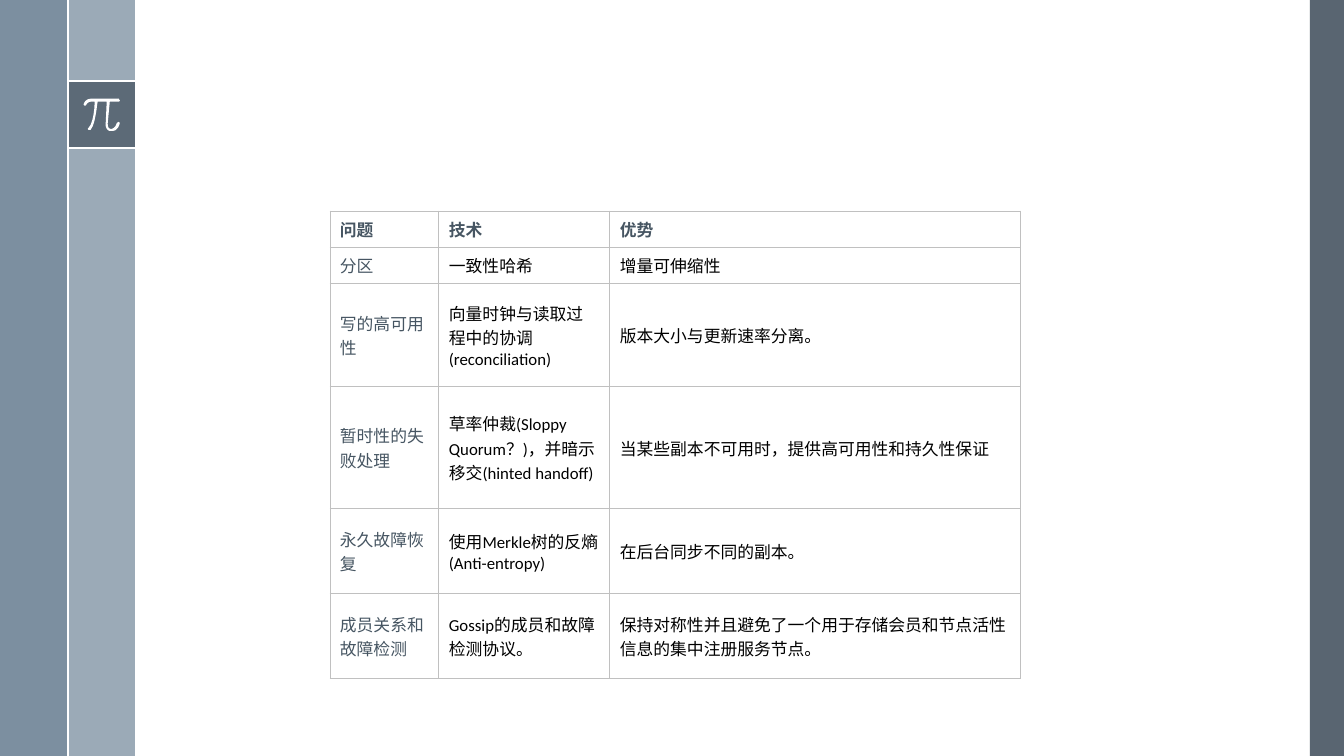
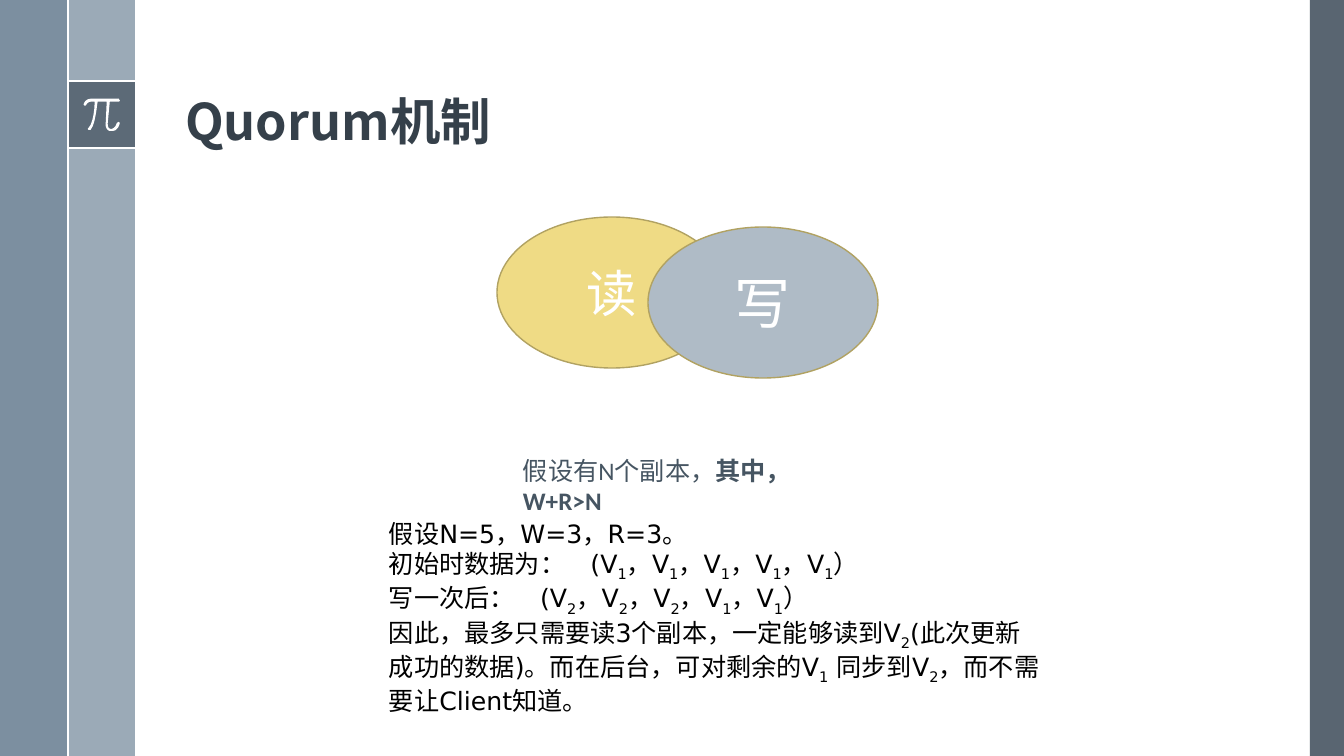
from lxml.etree import SubElement
from pptx import Presentation
from pptx.dml.color import RGBColor
from pptx.enum.shapes import MSO_CONNECTOR as Link, MSO_SHAPE as Kind
from pptx.enum.text import MSO_ANCHOR as Anchor, MSO_AUTO_SIZE as Fit, PP_ALIGN as Align
from pptx.oxml.ns import qn
from pptx.util import Emu, Inches, Pt

SCALE = 12192000 / 1344  # EMU in one px
WIDE, HIGH = 1344, 756
WHITE, BLACK = "FFFFFF", "000000"
SLATE, STEEL, MIST = "475562", "6A8093", "9BAAB7"
INK, TEXT, GRID = "35404A", "465562", "C0C0C0"
GOLD, CLOUD, RIM = "EFDB85", "AFBBC6", "B1A262"
LATIN, PLAIN, HAN = "Calibri", "DejaVu Sans", "Noto Sans CJK SC"

# Outline of the pi sign in 1/100 inch: pairs are lines, sixes are curves.
PI_START = (118, 98)
PI_PATH = [
    (90, 98), (85, 98, 83, 103, 83, 104), (84, 105), (85, 105),
    (85, 105, 87, 101, 90, 101), (94, 101), (94, 105, 93, 122, 88, 127),
    (87, 128, 87, 128, 88, 129), (90, 129), (95, 123, 96, 105, 97, 101),
    (106, 101), (105, 122), (105, 122, 104, 126, 107, 129),
    (108, 130, 109, 130, 110, 130), (112, 130),
    (117, 130, 119, 123, 119, 122), (118, 121), (116, 122),
    (116, 122, 115, 127, 111, 128), (110, 128, 109, 128, 108, 127),
    (107, 126, 107, 123, 107, 122), (109, 101), (118, 101), (119, 100),
]

COLS = [109, 171, 411]
ROWS = [36, 36, 103, 122, 85, 85]
CELLS = [
    ("问题", "技术", "优势"),
    ("分区", "一致性哈希", "增量可伸缩性"),
    ("写的高可用性", "向量时钟与读取过程中的协调(reconciliation)",
     "版本大小与更新速率分离。"),
    ("暂时性的失败处理", "草率仲裁(Sloppy Quorum？)，并暗示移交(hinted handoff)",
     "当某些副本不可用时，提供高可用性和持久性保证"),
    ("永久故障恢复", "使用Merkle树的反熵(Anti-entropy)", "在后台同步不同的副本。"),
    ("成员关系和故障检测", "Gossip的成员和故障检测协议。",
     "保持对称性并且避免了一个用于存储会员和节点活性信息的集中注册服务节点。"),
]

# An underscore lowers the digit that follows it.
STEPS = [
    "假设N=5，W=3，R=3。",
    "初始时数据为：\t(V_1，V_1，V_1，V_1，V_1）",
    "写一次后：\t(V_2，V_2，V_2，V_1，V_1）",
    "因此，最多只需要读3个副本，一定能够读到V_2(此次更新成功的数据)。"
    "而在后台，可对剩余的V_1 同步到V_2，而不需要让Client知道。",
]


def px(n):
    return Emu(round(n * SCALE))


def rgb(code):
    return RGBColor.from_string(code)


def add_run(para, text, size, color, font=LATIN, han=HAN, bold=False, sub=False):
    run = para.add_run()
    run.text = text
    face = run.font
    face.size, face.name, face.bold = Pt(size), font, bold
    face.color.rgb = rgb(color)
    props = run._r.get_or_add_rPr()
    SubElement(props, qn("a:ea")).set("typeface", han)
    if sub:
        props.set("baseline", "-25000")


def add_shape(slide, kind, box, fill, line=None, alpha=100):
    shape = slide.shapes.add_shape(kind, *map(px, box))
    paint(shape, fill, line)
    if alpha < 100:
        tone = shape.element.spPr.find(".//" + qn("a:srgbClr"))
        SubElement(tone, qn("a:alpha")).set("val", str(alpha * 1000))
    return shape


def paint(shape, fill, line=None):
    shape.shadow.inherit = False
    shape.fill.solid()
    shape.fill.fore_color.rgb = rgb(fill)
    if line:
        shape.line.color.rgb = rgb(line)
        shape.line.width = Pt(1)
    else:
        shape.line.fill.background()


def add_line(slide, *ends):
    line = slide.shapes.add_connector(Link.STRAIGHT, *map(px, ends))
    line.line.color.rgb = rgb(WHITE)
    line.line.width = Pt(1.5)
    SubElement(line.element.spPr, qn("a:effectLst"))


def trace(start, path, steps=6):
    """Turn lines and cubic curves into points, ten units to each step of the grid."""
    points, last = [], start
    for part in path:
        if len(part) == 2:
            points.append(part)
        else:
            ctrl = [last, part[:2], part[2:4], part[4:]]
            for n in range(1, steps + 1):
                t = n / steps
                mix = [(1 - t) ** 3, 3 * t * (1 - t) ** 2, 3 * t * t * (1 - t), t ** 3]
                points.append(tuple(sum(m * c[k] for m, c in zip(mix, ctrl)) for k in (0, 1)))
        last = part[-2:]
    return [(x * 10, y * 10) for x, y in points]


def add_pi(slide):
    x, y = PI_START
    pen = slide.shapes.build_freeform(x * 10, y * 10, scale=Inches(0.001))
    pen.add_line_segments(trace(PI_START, PI_PATH), close=True)
    paint(pen.convert_to_shape(), WHITE)


def add_frame(slide, master):
    """Draw the side bands and move them to the master, behind its placeholders."""
    add_shape(slide, Kind.RECTANGLE, (1310, 0, WIDE - 1310, HIGH), SLATE, alpha=90)
    add_shape(slide, Kind.RECTANGLE, (68, 0, 67, HIGH), MIST)
    add_shape(slide, Kind.RECTANGLE, (0, 0, 68, HIGH), STEEL, alpha=88)
    add_shape(slide, Kind.RECTANGLE, (68, 81, 67, 67), SLATE, alpha=75)
    for y in (81, 148):
        add_line(slide, 68, y, 135, y)
    add_pi(slide)
    add_line(slide, 68, 0, 68, HIGH)
    tree = master.shapes.element
    for n, shape in enumerate(list(slide.shapes)):
        shape.element.find(".//" + qn("p:cNvPr")).set("id", str(100 + n))
        tree.insert(2 + n, shape.element)


def add_title(slide, text):
    title = slide.shapes.title
    title.left, title.top, title.width, title.height = map(px, (175, 19, 1079, 137))
    frame = title.text_frame
    frame.vertical_anchor, frame.auto_size = Anchor.BOTTOM, Fit.NONE
    para = frame.paragraphs[0]
    para.alignment, para.line_spacing = Align.LEFT, 0.9
    add_run(para, text, 36, INK, HAN, bold=True)


def add_oval(slide, x, y, text, size, fill):
    oval = add_shape(slide, Kind.OVAL, (x, y, 230, 151), fill, RIM)
    oval.text_frame.vertical_anchor = Anchor.MIDDLE
    para = oval.text_frame.paragraphs[0]
    para.alignment = Align.CENTER
    add_run(para, text, size, WHITE)


def add_box(slide, *box):
    frame = slide.shapes.add_textbox(*map(px, box)).text_frame
    frame.word_wrap = True
    return frame


def fill_cell(cell, text, color, bold):
    cell.vertical_anchor = Anchor.MIDDLE
    cell.margin_left = cell.margin_right = px(10)
    cell.margin_top = cell.margin_bottom = px(6)
    add_run(cell.text_frame.paragraphs[0], text, 12, color, bold=bold)
    props = cell._tc.get_or_add_tcPr()
    for side in "LRTB":
        edge = SubElement(props, qn("a:ln" + side), w=str(Pt(0.75)))
        paint_edge = SubElement(edge, qn("a:solidFill"))
        SubElement(paint_edge, qn("a:srgbClr")).set("val", GRID)
    cell.fill.solid()
    cell.fill.fore_color.rgb = rgb(WHITE)


def add_grid(slide, x, y):
    box = map(px, (x, y, sum(COLS), sum(ROWS)))
    table = slide.shapes.add_table(len(ROWS), len(COLS), *box).table
    table.horz_banding = False
    for col, width in zip(table.columns, COLS):
        col.width = px(width)
    for r, (row, height) in enumerate(zip(table.rows, ROWS)):
        row.height = px(height)
        for c, text in enumerate(CELLS[r]):
            color = BLACK if r and c else TEXT
            fill_cell(table.cell(r, c), text, color, r == 0)


def add_rule(slide):
    frame = add_box(slide, 513, 450, 384, 40)
    frame.margin_right = px(94)
    para = frame.paragraphs[0]
    add_run(para, "假设有N个副本，", 18, TEXT, han=LATIN)
    add_run(para, "其中，W+R>N", 18, TEXT, han=LATIN, bold=True)


def add_steps(slide):
    frame = add_box(slide, 379, 513, 671, 194)
    for n, step in enumerate(STEPS):
        para = frame.add_paragraph() if n else frame.paragraphs[0]
        head, *tails = step.split("_")
        add_run(para, head, 18, BLACK, PLAIN, PLAIN)
        for tail in tails:
            add_run(para, tail[0], 18, BLACK, PLAIN, PLAIN, sub=True)
            add_run(para, tail[1:], 18, BLACK, PLAIN, PLAIN)


def main():
    prs = Presentation()
    prs.slide_width, prs.slide_height = px(WIDE), px(HIGH)
    titled, blank = prs.slide_layouts[5], prs.slide_layouts[6]

    slide = prs.slides.add_slide(blank)
    add_frame(slide, prs.slide_master)
    add_grid(slide, 330, 211)

    slide = prs.slides.add_slide(titled)
    add_title(slide, "Quorum机制")
    add_oval(slide, 497, 217, "读", 36, GOLD)
    add_oval(slide, 648, 227, "写", 40, CLOUD)
    add_rule(slide)
    add_steps(slide)

    prs.save("out.pptx")


if __name__ == "__main__":
    main()
